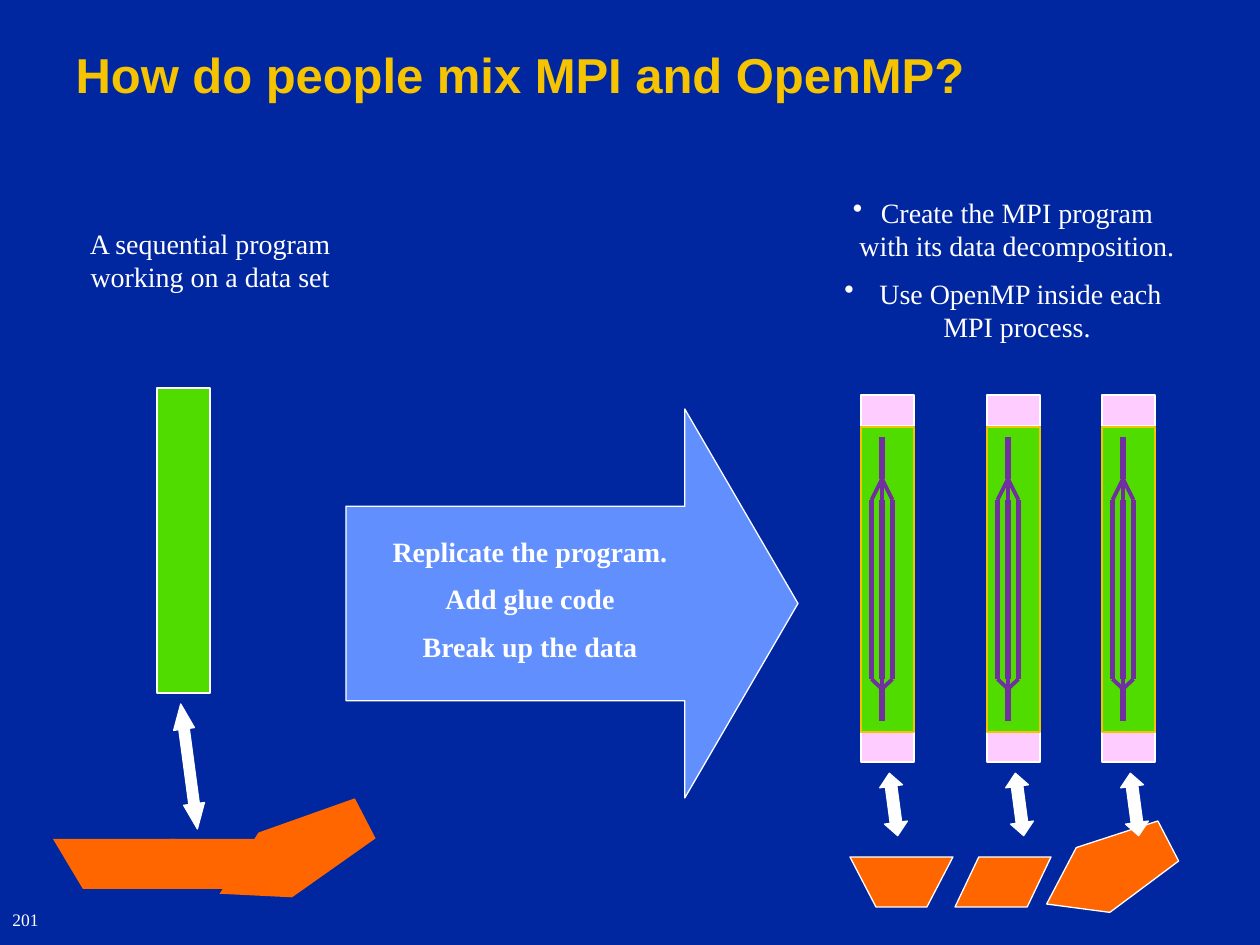
from dataclasses import dataclass

from lxml import etree
from pptx import Presentation
from pptx import util as u
from pptx.dml.color import RGBColor
from pptx.enum import shapes as kinds, text
from pptx.oxml.ns import qn

SCALE = 914400 / 126  # EMU in one px
KIND = kinds.MSO_SHAPE


@dataclass(frozen=True)
class Theme:
    background: str = "00279F"
    heading: str = "F5C300"
    white: str = "FFFFFF"
    program: str = "51DC00"
    glue: str = "FFCCFF"
    data: str = "FF6600"
    step: str = "618FFD"
    thread: str = "7030A0"
    heading_font: str = "Arial"
    body_font: str = "Times New Roman"
    heading_size: int = 28
    body_size: int = 16
    number_size: int = 10
    outline: float = 0.75
    thread_width: float = 3
    branch_width: float = 2.25


THEME = Theme()


def px(length):
    return u.Emu(round(length * SCALE))


def rgb(colour):
    return RGBColor.from_string(colour)


def paint(shape, fill, line=None):
    shape.shadow.inherit = False
    shape.fill.solid()
    shape.fill.fore_color.rgb = rgb(fill)
    if line:
        shape.line.color.rgb = rgb(line)
        shape.line.width = u.Pt(THEME.outline)
    else:
        shape.line.fill.background()


def add_block(parts, kind, box, fill, line=None, adjust=(), rotation=0):
    block = parts.add_shape(kind, *map(px, box))
    for index, value in enumerate(adjust):
        block.adjustments[index] = value
    block.rotation = rotation
    paint(block, fill, line)
    return block


def add_trapezoid(parts, box, inset, line=None):
    left, top, width, height = box
    outline = parts.build_freeform(left, top, scale=SCALE)
    outline.add_line_segments([
        (left + inset, top + height),
        (left + width - inset, top + height),
        (left + width, top),
    ])
    paint(outline.convert_to_shape(), THEME.data, line)


def add_line(parts, start, end, width):
    line = parts.add_connector(kinds.MSO_CONNECTOR.STRAIGHT, *map(px, start + end))
    line.line.color.rgb = rgb(THEME.thread)
    line.line.width = u.Pt(width)
    etree.SubElement(line._element.spPr, qn("a:effectLst"))


def style(paragraph, size, colour=THEME.white, font=THEME.body_font, bold=False):
    paragraph.font.size = u.Pt(size)
    paragraph.font.color.rgb = rgb(colour)
    paragraph.font.name = font
    paragraph.font.bold = bold


def write_centred(frame, lines, bold=False):
    frame.word_wrap = True
    frame.text = "\n".join(lines)
    for paragraph in frame.paragraphs:
        paragraph.alignment = text.PP_ALIGN.CENTER
        paragraph.space_before = u.Pt(THEME.body_size / 2)
        style(paragraph, THEME.body_size, bold=bold)


def add_bullet(paragraph, indent):
    properties = paragraph._p.get_or_add_pPr()
    properties.set("marL", str(px(indent)))
    properties.set("indent", str(-px(indent)))
    etree.SubElement(properties, qn("a:buChar")).set("char", "•")


def add_caption(slide, box, lines, bullet_indent=0):
    frame = slide.shapes.add_textbox(*map(px, box)).text_frame
    write_centred(frame, lines)
    if bullet_indent:
        for paragraph in frame.paragraphs:
            add_bullet(paragraph, bullet_indent)


def add_heading(slide, box):
    title = slide.shapes.title
    title.left, title.top, title.width, title.height = map(px, box)
    frame = title.text_frame
    frame.text = "How do people mix MPI and OpenMP?"
    frame.vertical_anchor = text.MSO_ANCHOR.TOP
    frame.margin_top = px(10)
    heading = frame.paragraphs[0]
    heading.alignment = text.PP_ALIGN.LEFT
    style(heading, THEME.heading_size, THEME.heading, THEME.heading_font, bold=True)


def add_page_number(slide, box):
    frame = slide.shapes.add_textbox(*map(px, box)).text_frame
    frame.text = "201"
    style(frame.paragraphs[0], THEME.number_size)


def add_data_link(parts, box, head):
    add_block(parts, KIND.LEFT_RIGHT_ARROW, box, THEME.white, THEME.white,
              (0.5, head), 82.4)


def add_sequential_program(slide, left, top):
    parts = slide.shapes.add_group_shape().shapes
    add_block(parts, KIND.RECTANGLE, (left + 104, top, 53, 305), THEME.program, THEME.white)
    # One undivided data set
    add_block(parts, KIND.PARALLELOGRAM, (left + 89, top + 451, 115, 50), THEME.data,
              adjust=(0.57,))
    add_trapezoid(parts, (left, top + 451, 123, 50), 30)
    add_block(parts, KIND.REGULAR_PENTAGON, (left + 203, top + 386, 73, 164), THEME.data,
              rotation=242.6)
    add_data_link(parts, (left + 73, top + 368, 126, 21), 1.2)


def add_split_data(slide, left, top):
    parts = slide.shapes
    add_block(parts, KIND.PARALLELOGRAM, (left + 105, top, 96, 50), THEME.data,
              THEME.white, (0.476,))
    add_trapezoid(parts, (left, top, 103, 50), 26, THEME.white)
    add_block(parts, KIND.REGULAR_PENTAGON, (left + 221, top - 53, 73, 137), THEME.data,
              THEME.white, rotation=242.6)


def add_threads(parts, centre, top):
    start, fork, spread, gather, join, end = (top + y for y in (42, 84, 105, 284, 294, 326))
    lanes = [centre + offset for offset in (-10.5, 0, 10.5)]
    for lane in lanes:
        add_line(parts, (lane, spread), (lane, gather), THEME.thread_width)
    for stem in ((start, fork), (join, end)):
        add_line(parts, (centre, stem[0]), (centre, stem[1]), THEME.thread_width)
    for lane in lanes:
        add_line(parts, (centre, fork), (lane, spread), THEME.branch_width)
        add_line(parts, (lane, gather), (centre, join), THEME.branch_width)


def add_mpi_process(slide, left, top):
    # Glue code above and below the program
    for glue_top in (top, top + 336):
        add_block(slide.shapes, KIND.RECTANGLE, (left, glue_top, 53, 31), THEME.glue,
                  THEME.white)
    add_data_link(slide.shapes, (left + 1, top + 398, 63, 23), 0.572)
    # Program with its OpenMP threads
    parts = slide.shapes.add_group_shape().shapes
    add_block(parts, KIND.RECTANGLE, (left, top + 32, 53, 305), THEME.program, THEME.heading)
    add_threads(parts, left + 21, top)


def add_steps(slide, left, top):
    parts = slide.shapes.add_group_shape().shapes
    add_block(parts, KIND.RIGHT_ARROW, (left, top, 452, 389), THEME.step, THEME.white,
              (0.5, 0.291))
    steps = add_block(parts, KIND.RECTANGLE, (left + 21, top + 116, 326, 147), THEME.step)
    write_centred(steps.text_frame, ["Replicate the program.", "Add glue code",
                                     "Break up the data"], bold=True)


def main():
    deck = Presentation()
    deck.slide_width, deck.slide_height = px(1260), px(945)
    slide = deck.slides.add_slide(deck.slide_layouts[5])
    slide.background.fill.solid()
    slide.background.fill.fore_color.rgb = rgb(THEME.background)

    add_page_number(slide, (0, 903, 158, 42))
    add_heading(slide, (63, 34, 1171, 157))
    add_sequential_program(slide, 53, 388)
    add_split_data(slide, 850, 857)
    add_steps(slide, 346, 409)
    add_caption(slide, (42, 220, 336, 81), ["A sequential program working on a data set"])
    add_caption(slide, (819, 189, 368, 164),
                ["Create the MPI program with its data decomposition.",
                 " Use OpenMP inside each MPI process."], bullet_indent=28)
    for left in (861, 987, 1102):
        add_mpi_process(slide, left, 395)
    deck.save("out.pptx")


if __name__ == "__main__":
    main()
